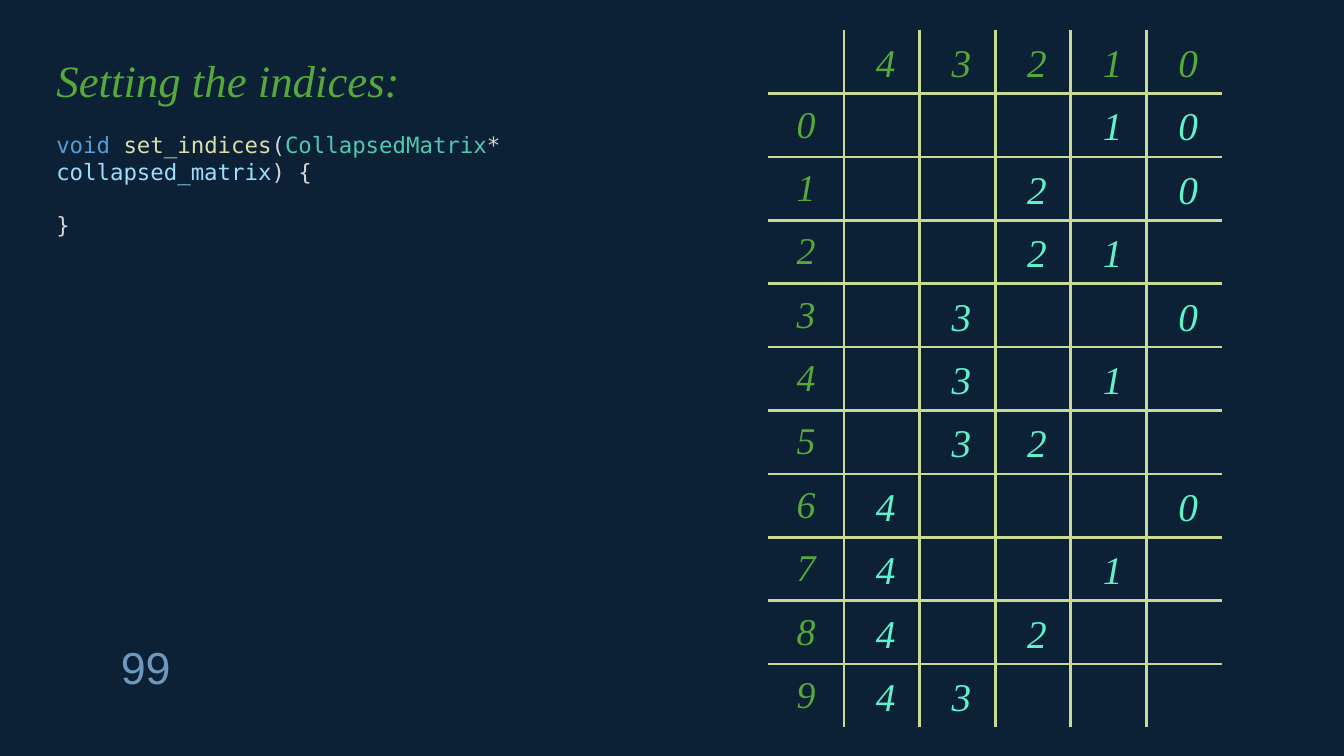
from dataclasses import dataclass
from itertools import combinations

from lxml import etree
from pptx import Presentation
from pptx.dml.color import RGBColor
from pptx.enum.text import MSO_ANCHOR, MSO_AUTO_SIZE, PP_ALIGN
from pptx.oxml.ns import qn
from pptx.util import Inches, Pt

LEFT, CENTER = PP_ALIGN.LEFT, PP_ALIGN.CENTER
TOP, MIDDLE = MSO_ANCHOR.TOP, MSO_ANCHOR.MIDDLE
FIXED, GROW = MSO_AUTO_SIZE.NONE, MSO_AUTO_SIZE.SHAPE_TO_FIT_TEXT


@dataclass(frozen=True)
class Theme:
    back: str = "0C2036"
    head: str = "55A839"
    mark: str = "5FF3CA"
    rule: str = "C9DA92"
    page: str = "6E99BD"
    key: str = "569CD6"
    func: str = "DCDCAA"
    kind: str = "4EC9B0"
    name: str = "9CDCFE"
    plain: str = "D4D4D4"
    serif: str = "Times New Roman"
    sans: str = "Arial"
    mono: str = "DejaVu Sans Mono"
    title: int = 32
    digit: int = 28
    label: int = 27
    code: int = 16
    line: float = 2.25


THEME = Theme()
WIDE, HIGH = 13.33, 7.5
COLS, ROWS = 6, 11
TITLE = (0.46, 0.47, 6.78, 0.64)
CODE = (0.46, 1.25, 6.78, 0.91)
PAGE = (1.1, 6.3, 0.77, 0.64)
GRID = (7.62, 0.3, 4.5, 6.92)

# Code lines as (text, colour) runs
LINES = [
    [("void ", THEME.key), ("set_indices", THEME.func), ("(", THEME.plain),
     ("CollapsedMatrix", THEME.kind), ("* ", THEME.plain),
     ("collapsed_matrix", THEME.name), (") {", THEME.plain)],
    [("}", THEME.plain)],
]


def apply(item, **vals):
    for key, val in vals.items():
        setattr(item, key, val)


def style(run, text, font, size, color, italic=False):
    run.text = text
    apply(run.font, name=font, size=Pt(size), italic=italic)
    run.font.color.rgb = RGBColor.from_string(color)


def write(para, text, *look, align=LEFT):
    para.alignment = align
    style(para.add_run(), text, *look)


def add_box(slide, box):
    shape = slide.shapes.add_textbox(*map(Inches, box))
    apply(shape.text_frame, word_wrap=True, auto_size=GROW)
    return shape.text_frame


def add_title(slide, box):
    shape = slide.shapes.title
    apply(shape, **dict(zip(("left", "top", "width", "height"),
                            map(Inches, box))))
    apply(shape.text_frame, word_wrap=True, auto_size=FIXED,
          vertical_anchor=TOP)
    write(shape.text_frame.paragraphs[0], "Setting the indices:",
          THEME.serif, THEME.title, THEME.head, True)


def add_code(slide, box):
    frame = add_box(slide, box)
    for num, line in enumerate(LINES):
        para = frame.add_paragraph() if num else frame.paragraphs[0]
        # The closing brace stands one line lower
        para.space_before = Pt(num * THEME.code * 1.17)
        for text, color in line:
            write(para, text, THEME.mono, THEME.code, color)


def add_page(slide, box):
    write(add_box(slide, box).paragraphs[0], "99",
          THEME.sans, THEME.title, THEME.page)


def set_edges(cell, row, col):
    """Rule the inner edges of a cell and leave the outer ones open."""
    props = cell._tc.get_or_add_tcPr()
    inner = {"a:lnL": col > 0, "a:lnR": col < COLS - 1,
             "a:lnT": row > 0, "a:lnB": row < ROWS - 1}
    for spot, (tag, shown) in enumerate(inner.items()):
        edge = etree.Element(qn(tag), w=str(Pt(THEME.line)))
        if shown:
            fill = etree.SubElement(edge, qn("a:solidFill"))
            etree.SubElement(fill, qn("a:srgbClr"), val=THEME.rule)
        else:
            etree.SubElement(edge, qn("a:noFill"))
        props.insert(spot, edge)


def add_grid(slide, box):
    left, top, width, height = box
    wide, high = width / COLS, height / ROWS

    # Ruled table with row labels
    table = slide.shapes.add_table(ROWS, COLS, *map(Inches, box)).table
    apply(table, first_row=False, horz_banding=False)
    for row in range(ROWS):
        for col in range(COLS):
            cell = table.cell(row, col)
            cell.fill.background()
            set_edges(cell, row, col)
            if row and not col:
                apply(cell, vertical_anchor=MIDDLE,
                      margin_left=Inches(0.07), margin_right=Inches(0.07),
                      margin_top=Inches(0.04), margin_bottom=Inches(0.04))
                write(cell.text_frame.paragraphs[0], str(row - 1),
                      THEME.serif, THEME.label, THEME.head, True,
                      align=CENTER)

    def put(digit, row, color):
        spot = (left + (COLS - 1 - digit) * wide + 0.22,
                top + row * high + 0.03, 0.33, 0.57)
        write(add_box(slide, spot).paragraphs[0], str(digit),
              THEME.serif, THEME.digit, color, True, align=CENTER)

    # Column heads, then each pair of indices in its row
    for digit in range(COLS - 1):
        put(digit, 0, THEME.head)
    pairs = sorted(combinations(range(COLS - 1), 2), key=lambda p: p[::-1])
    for row, pair in enumerate(pairs, 1):
        for digit in pair:
            put(digit, row, THEME.mark)


def main():
    deck = Presentation()
    apply(deck, slide_width=Inches(WIDE), slide_height=Inches(HIGH))
    slide = deck.slides.add_slide(deck.slide_layouts[5])
    fill = slide.background.fill
    fill.solid()
    fill.fore_color.rgb = RGBColor.from_string(THEME.back)
    add_title(slide, TITLE)
    add_page(slide, PAGE)
    add_code(slide, CODE)
    add_grid(slide, GRID)
    deck.save("out.pptx")


if __name__ == "__main__":
    main()
